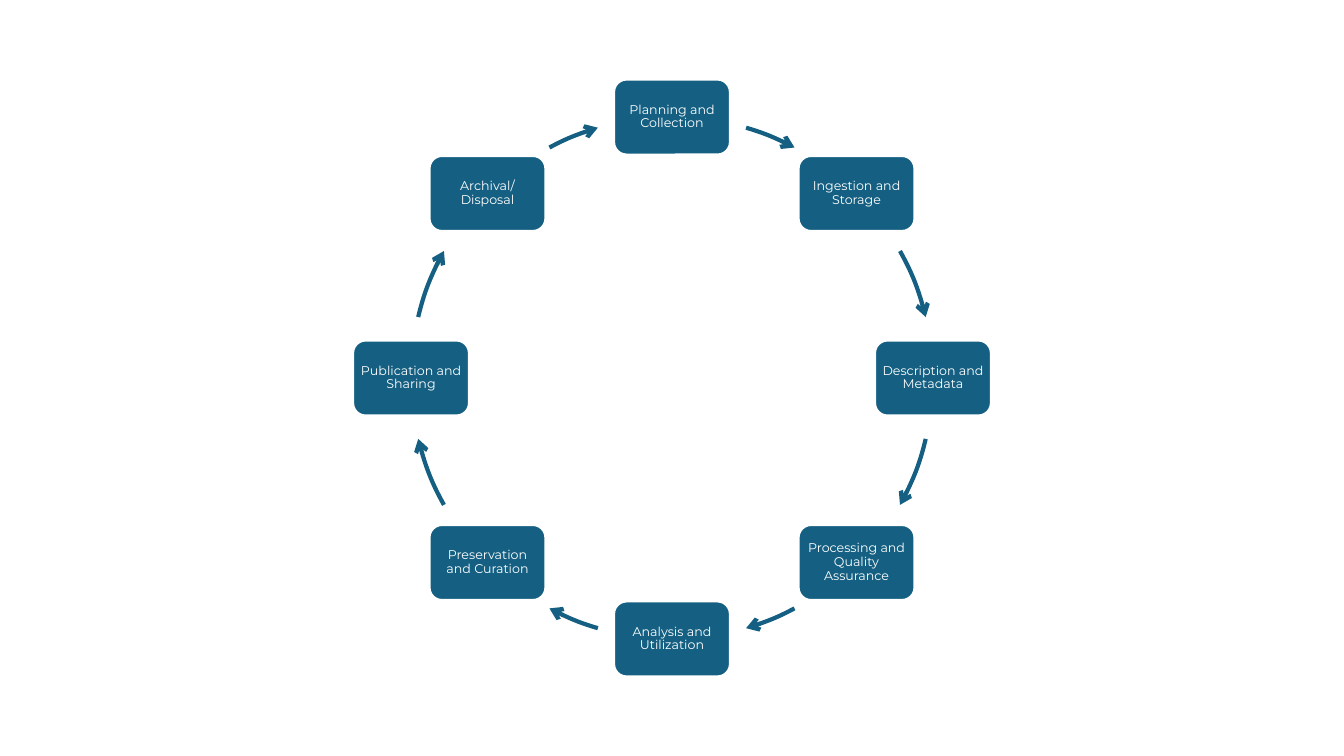
from dataclasses import dataclass
from math import cos, radians, sin

from lxml.etree import SubElement
from pptx import Presentation
from pptx.dml.color import RGBColor
from pptx.enum.shapes import MSO_SHAPE as Shape
from pptx.enum.text import MSO_ANCHOR as Anchor, PP_ALIGN as Align
from pptx.oxml.ns import qn
from pptx.util import Pt


@dataclass(frozen=True)
class Theme:
    accent: RGBColor = RGBColor(0x15, 0x60, 0x82)
    light: RGBColor = RGBColor(0xFF, 0xFF, 0xFF)
    font: str = "Montserrat"
    text_size: float = 9
    box_line: float = 1.5
    arrow_line: float = 3


THEME = Theme()
SLIDE_WIDTH, SLIDE_HEIGHT = 960, 540
CYCLE_BOX = (293.6, 83.6, 372.8, 372.8)  # left, top, width, height of the ring
STAGE_WIDTH, STAGE_HEIGHT = 82.8, 53.6

STAGES = [
    "Planning and Collection",
    "Ingestion and Storage",
    "Description and Metadata",
    "Processing and Quality Assurance",
    "Analysis and Utilization",
    "Preservation and Curation",
    "Publication and Sharing",
    "Archival/Disposal",
]

# Arrow spans in degrees clockwise from the top; the other quarters mirror the first
QUARTER = [(16.5, 28), (60.9, 76.5)]
HALF = QUARTER + [(180 - end, 180 - start) for start, end in reversed(QUARTER)]
ARROW_SPANS = HALF + [(start + 180, end + 180) for start, end in HALF]


def set_values(target, values):
    for name, value in values.items():
        setattr(target, name, value)


def add_stage(slide, text, box):
    """A rounded box holding the name of one stage."""
    shape = slide.shapes.add_shape(Shape.ROUNDED_RECTANGLE, *map(Pt, box))
    shape.shadow.inherit = False
    shape.fill.solid()
    shape.fill.fore_color.rgb = THEME.accent
    shape.line.color.rgb = THEME.light
    shape.line.width = Pt(THEME.box_line)

    frame = shape.text_frame
    margins = {f"margin_{side}": Pt(2.5) for side in ("left", "right", "top", "bottom")}
    set_values(frame, {"word_wrap": True, "vertical_anchor": Anchor.MIDDLE, **margins})
    paragraph = frame.paragraphs[0]
    set_values(paragraph, {"alignment": Align.CENTER, "line_spacing": 0.9})
    run = paragraph.add_run()
    run.text = text
    set_values(run.font, {"name": THEME.font, "size": Pt(THEME.text_size)})
    run.font.color.rgb = THEME.light


def add_arrow(slide, span, box):
    """A curved arrow along the ring that fills the box."""
    arc = slide.shapes.add_shape(Shape.ARC, *map(Pt, box))
    arc.shadow.inherit = False
    arc.fill.background()
    arc.line.color.rgb = THEME.accent
    arc.line.width = Pt(THEME.arrow_line)
    # Arc angles run clockwise from the right, in units of 1/60000 degree
    for index, angle in enumerate(span):
        arc.adjustments[index] = (angle - 90) % 360 * 0.6
    line = arc.line.color.rgb and arc.element.spPr.find(qn("a:ln"))
    SubElement(line, qn("a:tailEnd"), type="arrow")


def add_cycle(slide, box):
    """Stages evenly spaced round the ring, with arrows between them."""
    left, top, width, height = box
    for index, text in enumerate(STAGES):
        angle = radians(index * 360 / len(STAGES))
        center_x = left + width / 2 * (1 + sin(angle))
        center_y = top + height / 2 * (1 - cos(angle))
        corner = (center_x - STAGE_WIDTH / 2, center_y - STAGE_HEIGHT / 2)
        add_stage(slide, text, (*corner, STAGE_WIDTH, STAGE_HEIGHT))
    for span in ARROW_SPANS:
        add_arrow(slide, span, box)


def main():
    presentation = Presentation()
    set_values(presentation, {"slide_width": Pt(SLIDE_WIDTH), "slide_height": Pt(SLIDE_HEIGHT)})
    slide = presentation.slides.add_slide(presentation.slide_layouts.get_by_name("Blank"))
    add_cycle(slide, CYCLE_BOX)
    presentation.save("out.pptx")


if __name__ == "__main__":
    main()
